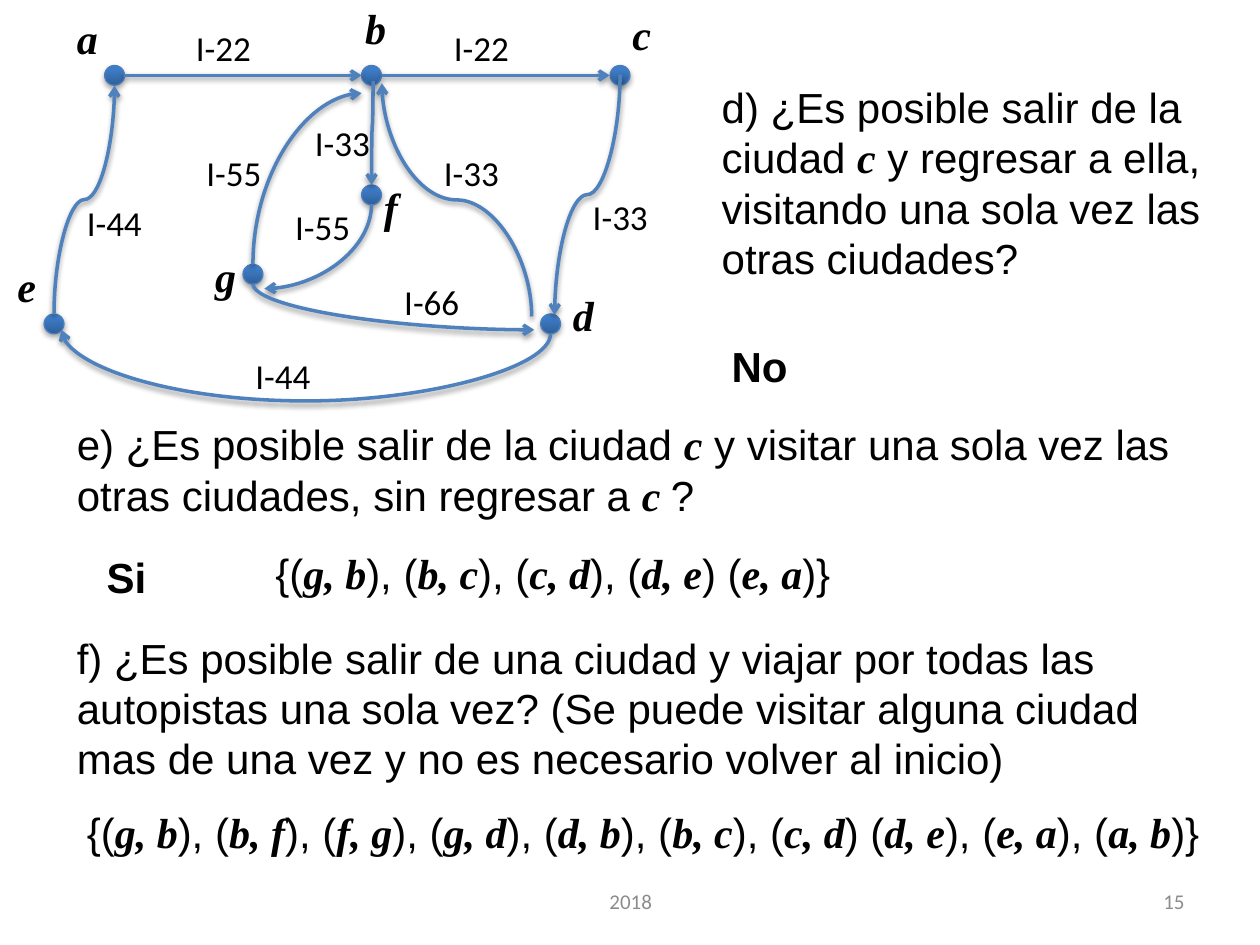
"""Build the slide of a road graph with three questions on its routes."""
from pptx import Presentation, oxml
from pptx.dml.color import RGBColor
from pptx.enum import shapes, text
from pptx.oxml import ns
from pptx.util import Cm, Pt

BLACK = RGBColor(0, 0, 0)
GRAY = RGBColor(0x8C, 0x8C, 0x8C)
BLUE = RGBColor(0x4F, 0x81, 0xBD)
EDGE = RGBColor(0x4B, 0x7E, 0xBC)
DARK = RGBColor(0x2F, 0x5F, 0x99)
LIGHT = RGBColor(0x3D, 0x7C, 0xC7)

DOT = 0.4
TOWNS = [
    ("a", (2.31, 1.52), (1.3, 0.13)),
    ("b", (7.49, 1.52), (7.11, -0.08)),
    ("c", (12.5, 1.52), (12.5, 0.05)),
    ("d", (11.1, 6.53), (11.3, 5.72)),
    ("e", (1.09, 6.53), (0.1, 5.13)),
    ("f", (7.49, 3.93), (7.49, 3.53)),
    ("g", (5.1, 5.53), (4.09, 4.93)),
]
ROADS = [
    ("I-22", (3.7, 0.41), (2.49, 1.52), (7.29, 1.52), None),
    ("I-22", (8.9, 0.41), (7.7, 1.52), (12.29, 1.52), None),
    ("I-44", (1.5, 3.93), (1.09, 6.32), (2.31, 1.73), 0.5),
    ("I-55", (3.91, 2.93), (5.1, 5.33), (7.29, 1.88), 0),
    ("I-33", (6.1, 2.33), (7.52, 1.63), (7.49, 3.73), 0.43),
    ("I-55", (5.7, 4.02), (7.49, 4.11), (5.33, 5.82), 0),
    ("I-66", (7.9, 5.53), (5.1, 5.72), (10.77, 6.65), 0),
    ("I-44", (4.9, 7.02), (11.1, 6.73), (1.24, 6.65), -16.9),
    ("I-33", (11.7, 3.82), (12.5, 1.5), (11.18, 6.35), 0.5),
    ("I-33", (8.7, 2.93), (10.72, 6.38), (7.7, 1.68), 0.5),
]
NOTES = [
    ("d) ¿Es posible salir de la ciudad *c* y regresar a ella, "
     "visitando una sola vez las otras ciudades?", (14.3, 1.52, 10.4, 4.37), False),
    ("No", (14.5, 6.73, 3, 1.28), True),
    ("e) ¿Es posible salir de la ciudad *c* y visitar una sola vez las "
     "otras ciudades, sin regresar a *c *?", (1.3, 8.32, 23.4, 2.31), False),
    ("Si", (1.9, 11, 3, 1.28), True),
    ("{(*g, b*), (*b, c*), (*c, d*), (*d, e*) (*e, a*)}",
     (5.3, 10.92, 11.7, 1.28), False),
    ("f) ¿Es posible salir de una ciudad y viajar por todas las autopistas "
     "una sola vez? (Se puede visitar alguna ciudad mas de una vez y no es "
     "necesario volver al inicio)", (1.3, 12.62, 23.4, 3.33), False),
    ("{(*g, b*), (*b, f*), (*f, g*), (*g, d*), (*d, b*), (*b, c*), "
     "(*c, d*) (*d, e*), (*e, a*), (*a, b*)}", (1.5, 16.13, 23.1, 1.28), False),
]
FEET = [
    ("2018", (8.69, 17.65, 8.05, 1.02), text.PP_ALIGN.CENTER),
    ("15", (18.21, 17.65, 5.92, 1.02), text.PP_ALIGN.RIGHT),
]


def add_text(home, words, box, size, face, color=BLACK, bold=False):
    """Add a text box where words between stars are bold italic serif."""
    frame = home.add_textbox(*map(Cm, box)).text_frame
    frame.word_wrap = True
    for i, part in enumerate(words.split("*")):
        if part:
            run = frame.paragraphs[0].add_run()
            run.text = part
            font = run.font
            font.name = "Times New Roman" if i % 2 else face
            font.size = Pt(size)
            font.bold = bold or i % 2 == 1
            font.italic = i % 2 == 1
            font.color.rgb = color
    return frame


def add_shade(shape, alpha):
    """Put a soft shadow below a shape."""
    shape._element.spPr.append(oxml.parse_xml(
        f'<a:effectLst {ns.nsdecls("a")}><a:outerShdw blurRad="40000" '
        f'dist="21500" dir="5400000" rotWithShape="0"><a:srgbClr val="000000">'
        f'<a:alpha val="{alpha}000"/></a:srgbClr></a:outerShdw></a:effectLst>'))


def add_dot(home, x, y):
    """Add the round mark of a town, centred on a point."""
    dot = home.add_shape(shapes.MSO_SHAPE.OVAL, Cm(x - DOT / 2),
                         Cm(y - DOT / 2), Cm(DOT), Cm(DOT))
    dot.fill.gradient()
    dot.fill.gradient_angle = 90
    for stop, color, place in zip(dot.fill.gradient_stops, (DARK, LIGHT), (0, 0.8)):
        stop.color.rgb = color
        stop.position = place
    dot.line.color.rgb = EDGE
    dot.line.width = Pt(0.75)
    add_shade(dot, 35)


def add_road(home, start, end, bend):
    """Add an arrow: straight, a quarter turn (0) or an S bend (share of drop)."""
    (x1, y1), (x2, y2) = start, end
    if bend is None:
        road = home.add_connector(shapes.MSO_CONNECTOR.STRAIGHT,
                                  *map(Cm, (x1, y1, x2, y2)))
    else:
        wide, high = abs(y2 - y1), abs(x2 - x1)
        left, top = (x1 + x2 - wide) / 2, (y1 + y2 - high) / 2
        road = home.add_connector(shapes.MSO_CONNECTOR.CURVE,
                                  *map(Cm, (left, top, left + wide, top + high)))
        frame = road._element.spPr.find(ns.qn("a:xfrm"))
        frame.set("rot", "5400000")
        frame.set("flipH", str(int(y2 < y1)))
        frame.set("flipV", str(int(x2 > x1)))
        geom = road._element.spPr.find(ns.qn("a:prstGeom"))
        if bend:
            geom.find(ns.qn("a:avLst")).append(oxml.parse_xml(
                f'<a:gd {ns.nsdecls("a")} name="adj1" '
                f'fmla="val {round(bend * 100000)}"/>'))
        else:
            geom.set("prst", "curvedConnector2")
    road.line.color.rgb = BLUE
    road.line.width = Pt(2)
    road.line._get_or_add_ln().append(
        oxml.parse_xml(f'<a:tailEnd {ns.nsdecls("a")} type="arrow"/>'))
    add_shade(road, 38)


def main():
    """Build and save the slide."""
    deck = Presentation()
    deck.slide_width, deck.slide_height = Cm(25.4), Cm(19.05)
    slide = deck.slides.add_slide(deck.slide_layouts[6])
    graph = slide.shapes.add_group_shape().shapes
    for _, spot, _ in TOWNS:
        add_dot(graph, *spot)
    for _, _, start, end, bend in ROADS:
        add_road(graph, start, end, bend)
    for name, spot, *_ in ROADS:
        add_text(graph, name, (*spot, 1.8, 1.11), 20, "Calibri")
    for name, _, spot in TOWNS:
        add_text(graph, f"*{name}*", (*spot, 1.2, 1.28), 24, "Arial")
    for words, box, bold in NOTES:
        add_text(slide.shapes, words, box, 24, "Arial", bold=bold)
    for words, box, side in FEET:
        frame = add_text(slide.shapes, words, box, 12, "Calibri", GRAY)
        frame.vertical_anchor = text.MSO_ANCHOR.MIDDLE
        frame.paragraphs[0].alignment = side
    deck.save("out.pptx")


if __name__ == "__main__":
    main()
